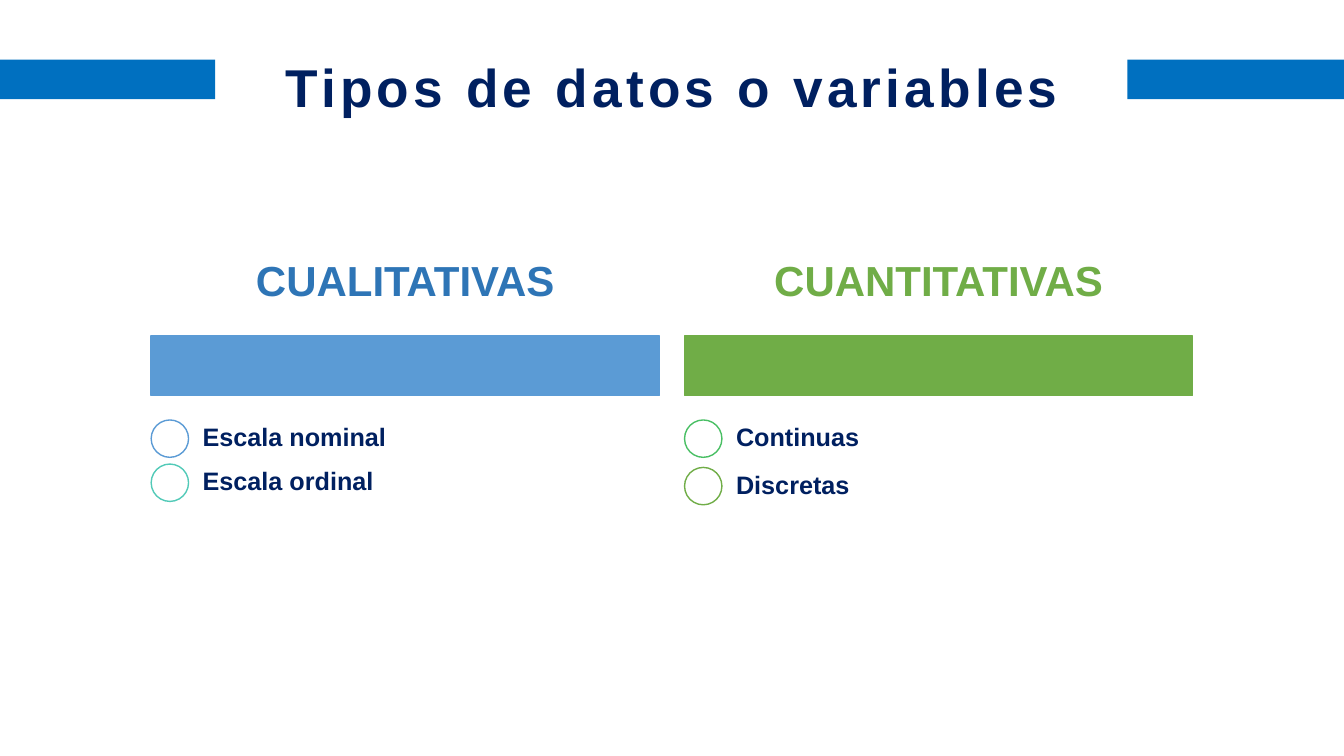
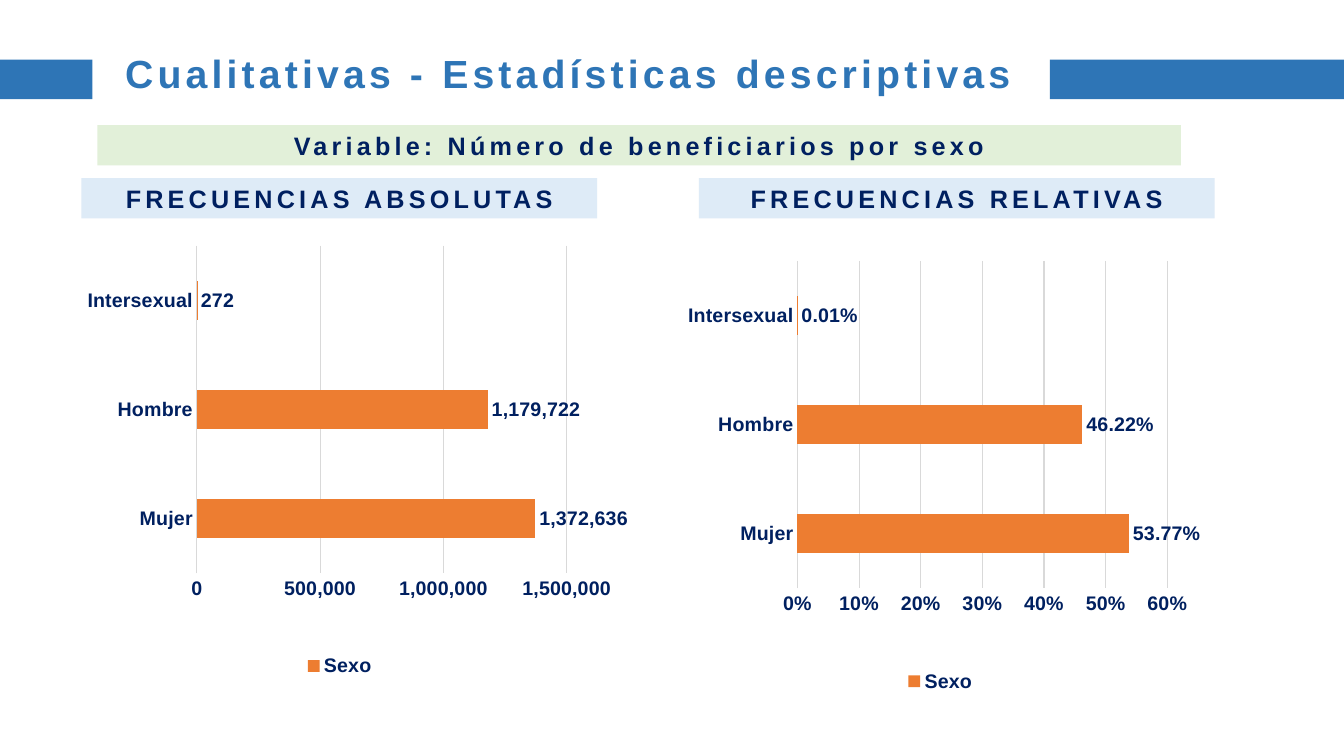
from lxml.etree import SubElement
from pptx import Presentation
from pptx.chart.data import CategoryChartData
from pptx.dml.color import RGBColor
from pptx.enum.chart import (XL_CHART_TYPE, XL_LABEL_POSITION,
                             XL_LEGEND_POSITION, XL_TICK_MARK)
from pptx.enum.shapes import MSO_SHAPE
from pptx.enum.text import MSO_ANCHOR, MSO_AUTO_SIZE, PP_ALIGN
from pptx.oxml.ns import qn
from pptx.util import Inches, Pt

COLS, ROWS = 160, 90
FONT = "Arial"
INK = {
    "navy": "002060", "band": "0070C0", "blue": "2E75B6", "sky": "5B9BD5",
    "teal": "52CAB8", "mint": "49BF64", "green": "70AD47", "ice": "DEEBF7",
    "pale": "E2F0D9", "bar": "ED7D31", "grid": "D9D9D9", "white": "FFFFFF",
}


def ink(name):
    return RGBColor.from_string(INK[name])


class Deck:
    """Holds the style and the current slide; lengths are grid cells."""

    def __init__(self):
        self.file = Presentation()
        self.cell = Inches(13.333) / COLS
        self.file.slide_width = Inches(13.333)
        self.file.slide_height = round(ROWS * self.cell)
        self.slide = None

    def area(self, *box):
        return [round(n * self.cell) for n in box]

    def style(self, font, size, color="navy"):
        font.name, font.size, font.bold = FONT, Pt(size), True
        font.color.rgb = ink(color)

    def fill_text(self, frame, text, size, color="navy",
                  align=PP_ALIGN.CENTER, anchor=MSO_ANCHOR.TOP, track=0,
                  lead=None, inset=(0.1, 0.05)):
        frame.word_wrap = True
        frame.auto_size = MSO_AUTO_SIZE.NONE
        frame.vertical_anchor = anchor
        frame.margin_left = frame.margin_right = Inches(inset[0])
        frame.margin_top = frame.margin_bottom = Inches(inset[1])
        para = frame.paragraphs[0]
        para.alignment = align
        if lead:
            para.line_spacing = lead
        run = para.add_run()
        run.text = text
        self.style(run.font, size, color)
        if track:
            run._r.get_or_add_rPr().set("spc", str(track * 100))

    def page(self, title, box, size, color, band, gap, align):
        """Title-only slide with a band on each side of the title."""
        self.slide = self.file.slides.add_slide(self.file.slide_layouts[5])
        head = self.slide.shapes.title
        head.left, head.top, head.width, head.height = self.area(*box)
        self.fill_text(head.text_frame, title, size, color, align, track=3)
        start, end = gap
        for left, right in ((0, start), (end, COLS)):
            self.shape((left, 7.1, right - left, 4.7), band)

    def shape(self, box, fill, line=None, kind=MSO_SHAPE.RECTANGLE):
        item = self.slide.shapes.add_shape(kind, *self.area(*box))
        item.shadow.inherit = False
        item.fill.solid()
        item.fill.fore_color.rgb = ink(fill)
        if line:
            item.line.color.rgb = ink(line)
            item.line.width = Pt(1)
        else:
            item.line.fill.background()
        return item

    def label(self, box, text, size, **look):
        item = self.slide.shapes.add_textbox(*self.area(*box))
        self.fill_text(item.text_frame, text, size,
                       anchor=MSO_ANCHOR.MIDDLE, lead=0.9, **look)

    def strip(self, box, text, fill):
        item = self.shape(box, fill)
        self.fill_text(item.text_frame, text, 18, track=3)

    def group(self, left, name, color, fill, step, items):
        """Heading, bar and a list with ring markers."""
        wide, ring = 60.5, 4.45
        self.label((left, 27.25, wide, 12.75), name, 30, color=color,
                   inset=(0.06, 0.04))
        self.shape((left, 40, wide, 7.1), fill, fill)
        for row, (text, line) in enumerate(items):
            top = 50 + row * step
            self.shape((left, top, ring, ring), "white", line, MSO_SHAPE.OVAL)
            self.label((left + ring, top, wide - ring, ring), text, 18,
                       align=PP_ALIGN.LEFT, inset=(0.14, 0.14))

    def chart(self, box, vals, top, unit, ticks, marks):
        """Bar chart of one series by sex."""
        data = CategoryChartData()
        data.categories = ["Mujer", "Hombre", "Intersexual"]
        data.add_series("Sexo", vals)
        chart = self.slide.shapes.add_chart(
            XL_CHART_TYPE.BAR_CLUSTERED, *self.area(*box), data).chart
        self.style(chart.font, 14)
        chart.has_title = False
        chart.has_legend = True
        chart.legend.position = XL_LEGEND_POSITION.BOTTOM
        chart.legend.include_in_layout = False
        self.style(chart.legend.font, 14)

        # Axes
        cat, val = chart.category_axis, chart.value_axis
        for axis in (cat, val):
            axis.major_tick_mark = axis.minor_tick_mark = XL_TICK_MARK.NONE
            self.style(axis.tick_labels.font, 14)
        val.minimum_scale, val.maximum_scale, val.major_unit = 0, top, unit
        val.tick_labels.number_format = ticks
        val.tick_labels.number_format_is_linked = False
        val.format.line.fill.background()
        val.has_major_gridlines = True
        for line in (cat.format.line, val.major_gridlines.format.line):
            line.color.rgb = ink("grid")
            line.width = Pt(0.75)

        # Bars and their labels
        plot = chart.plots[0]
        plot.gap_width = 182
        plot.vary_by_categories = False
        bars = plot.series[0]
        bars.invert_if_negative = False
        bars.format.fill.solid()
        bars.format.fill.fore_color.rgb = ink("bar")
        tags = bars.data_labels
        tags.show_value = True
        tags.position = XL_LABEL_POSITION.OUTSIDE_END
        tags.number_format, tags.number_format_is_linked = marks, False
        self.style(tags.font, 14)
        self.place(chart, x=0.262, y=0.031, w=0.616, h=0.729)

    def place(self, chart, **share):
        """Fix the inner plot area as shares of the chart."""
        area = chart._chartSpace.find(".//" + qn("c:plotArea"))
        old = area.find(qn("c:layout"))
        if old is not None:
            area.remove(old)
        frame = SubElement(area, qn("c:layout"))
        area.insert(0, frame)
        inner = SubElement(frame, qn("c:manualLayout"))
        parts = [("layoutTarget", "inner"), ("xMode", "edge"),
                 ("yMode", "edge"), *share.items()]
        for tag, val in parts:
            SubElement(inner, qn("c:" + tag)).set("val", str(val))


def main():
    deck = Deck()

    # Types of variables
    deck.page("Tipos de datos o variables", (0, 5.9, COLS, 8.9), 38, "navy",
              "band", (25.6, 134.2), PP_ALIGN.CENTER)
    deck.group(18, "CUALITATIVAS", "blue", "sky", 5.25,
               [("Escala nominal", "sky"), ("Escala ordinal", "teal")])
    deck.group(81.5, "CUANTITATIVAS", "green", "green", 5.65,
               [("Continuas", "mint"), ("Discretas", "green")])

    # Frequencies by sex
    deck.page("Cualitativas - Estadísticas descriptivas",
              (13.7, 5.3, 130.8, 6.8), 28, "blue", "blue", (11, 125),
              PP_ALIGN.LEFT)
    deck.strip((11.6, 14.9, 129, 4.8),
               "Variable: Número de beneficiarios por sexo", "pale")
    for col, name in enumerate(("ABSOLUTAS", "RELATIVAS")):
        deck.strip((9.7 + col * 73.5, 21.2, 61.4, 4.8),
                   "FRECUENCIAS " + name, "ice")
    wide, high = 71.5, 53.5
    deck.chart((4.7, 27.6, wide, high), (1372636, 1179722, 272),
               1500000, 500000, "#,##0", "#,##0;[Red]#,##0")
    deck.chart((4.7 + wide, 29.4, wide, high), (0.5377, 0.4622, 0.0001),
               0.6, 0.1, "0%", "0.00%")

    deck.file.save("out.pptx")


if __name__ == "__main__":
    main()
